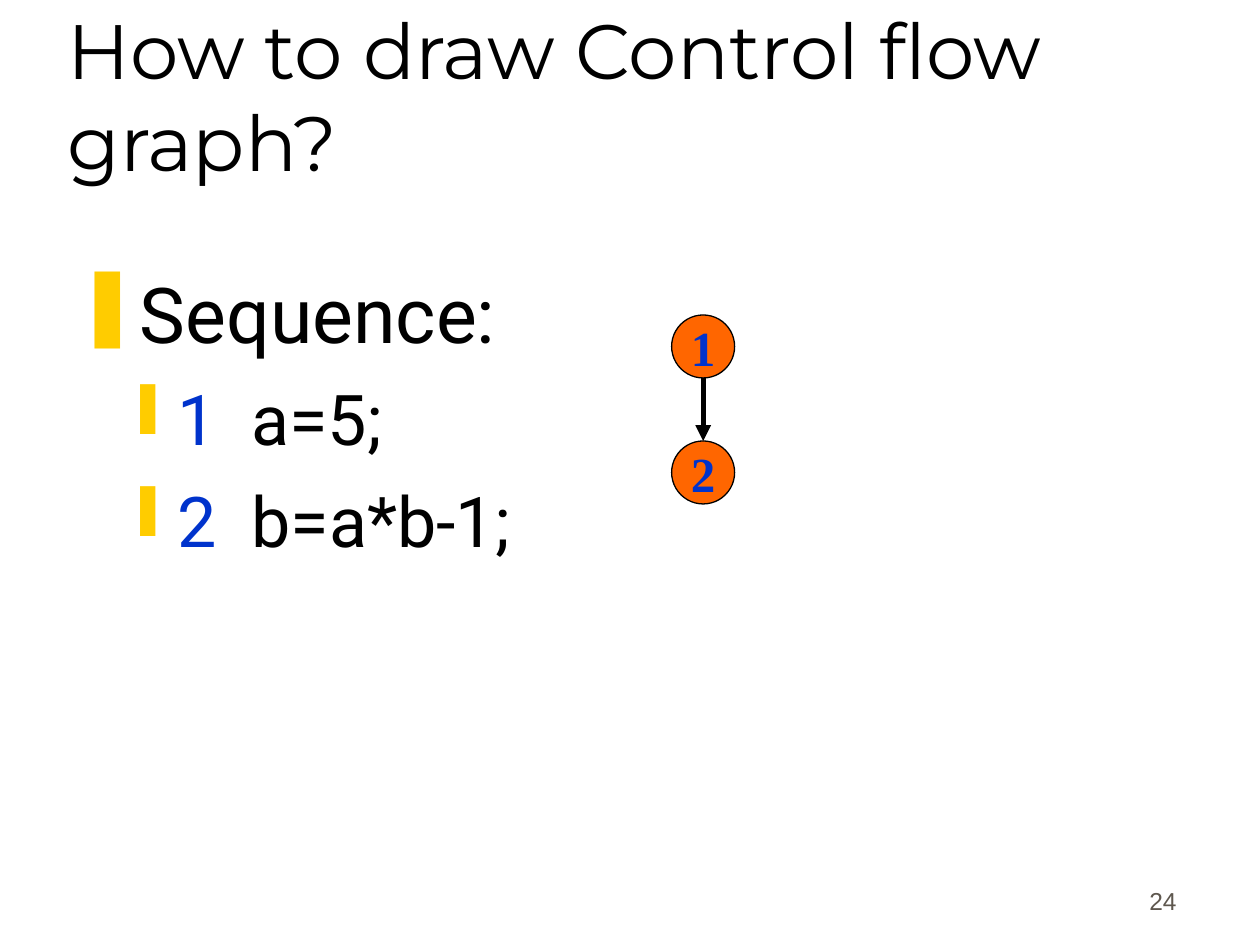
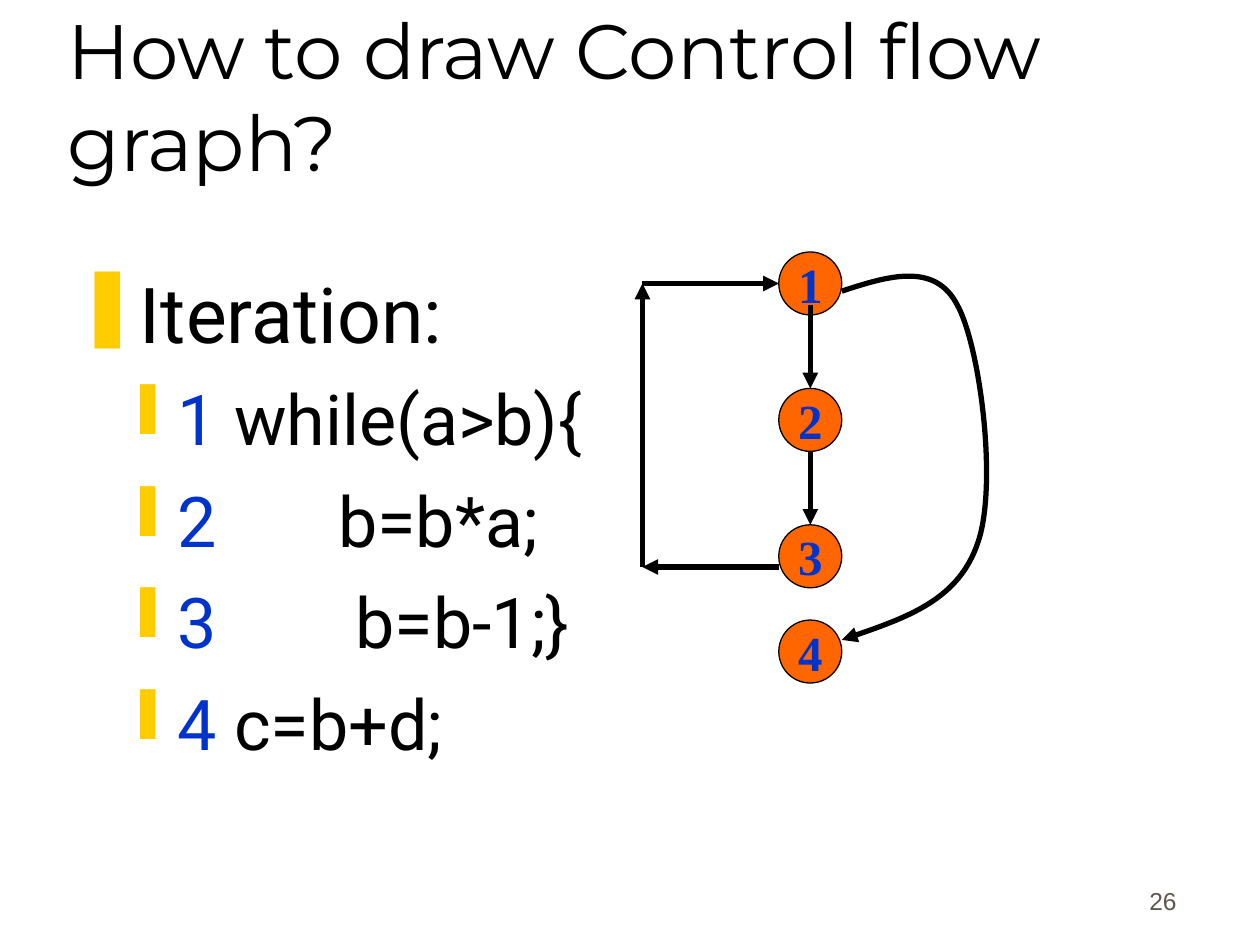
from lxml.etree import SubElement
from pptx import Presentation
from pptx.dml.color import RGBColor
from pptx.enum.shapes import MSO_CONNECTOR, MSO_SHAPE
from pptx.enum.text import MSO_ANCHOR, PP_ALIGN
from pptx.oxml.ns import qn
from pptx.util import Cm, Pt

BLACK = RGBColor(0x00, 0x00, 0x00)
BLUE = RGBColor(0x00, 0x33, 0xCC)
ORANGE = RGBColor(0xFF, 0x66, 0x00)
YELLOW = RGBColor(0xFF, 0xCC, 0x00)
GREY = RGBColor(0x5E, 0x57, 0x4E)

TITLE = "How to draw Control flow graph?"
TITLE_BOX = (1.11, 0.64, 21.59, 3.18)
CODE_BOX = (1.27, 5.24, 22.7, 11.58)
NUMBER_BOX = (18.69, 17.3, 5.28, 1.27)
NODE = 1.27  # node diameter in cm
STEP = 2.75  # node spacing in the loop graph, in cm


def add_run(p, text, font, size, color, bold=False):
    r = p.add_run()
    r.text = text
    r.font.name = font
    r.font.size = Pt(size)
    r.font.color.rgb = color
    r.font.bold = bold


def add_text_frame(s, box, anchor=MSO_ANCHOR.TOP):
    tf = s.shapes.add_textbox(*map(Cm, box)).text_frame
    tf.word_wrap = True
    tf.vertical_anchor = anchor
    return tf


def set_bullet(p, char, left, hanging):
    pPr = p._p.get_or_add_pPr()
    pPr.set("marL", str(Cm(left)))
    pPr.set("indent", str(-Cm(hanging)))
    color = SubElement(pPr, qn("a:buClr"))
    SubElement(color, qn("a:srgbClr"), val=str(YELLOW))
    SubElement(pPr, qn("a:buChar"), char=char)


# Title and slide number
def add_frame(s, number):
    tf = add_text_frame(s, TITLE_BOX, MSO_ANCHOR.BOTTOM)
    tf.margin_bottom = Cm(0.05)
    add_run(tf.paragraphs[0], TITLE, "Montserrat", 44, BLACK)

    p = add_text_frame(s, NUMBER_BOX, MSO_ANCHOR.BOTTOM).paragraphs[0]
    p.alignment = PP_ALIGN.RIGHT
    add_run(p, str(number), "Arial", 14, GREY)


# Heading with numbered code lines
def add_code(s, box, heading, lines):
    tf = add_text_frame(s, box)
    p = tf.paragraphs[0]
    set_bullet(p, "❚", 0.95, 0.95)
    add_run(p, heading, "Roboto", 44, BLACK)
    for number, code in enumerate(lines, 1):
        p = tf.add_paragraph()
        set_bullet(p, "❙", 2.06, 0.79)
        p.space_before = Pt(10)
        add_run(p, str(number), "Roboto", 40, BLUE)
        add_run(p, code, "Roboto", 40, BLACK)


# Parts of a flow graph
def add_node(s, x, y, number):
    sp = s.shapes.add_shape(MSO_SHAPE.OVAL, Cm(x), Cm(y), Cm(NODE), Cm(NODE))
    sp.shadow.inherit = False
    sp.fill.solid()
    sp.fill.fore_color.rgb = ORANGE
    sp.line.color.rgb = BLACK
    sp.line.width = Pt(0.75)
    tf = sp.text_frame
    tf.word_wrap = False
    tf.vertical_anchor = MSO_ANCHOR.MIDDLE
    p = tf.paragraphs[0]
    p.alignment = PP_ALIGN.CENTER
    add_run(p, str(number), "Times New Roman", 28, BLUE, bold=True)
    return sp


def style_arrow(sp):
    sp.line.color.rgb = BLACK
    sp.line.width = Pt(3)
    SubElement(sp.element.spPr.find(qn("a:ln")), qn("a:tailEnd"), type="triangle")


def add_arrow(s, start, end, target=None):
    c = s.shapes.add_connector(MSO_CONNECTOR.STRAIGHT, *map(Cm, start + end))
    if target is not None:
        c.end_connect(target, 0)
    style_arrow(c)
    SubElement(c.element.spPr, qn("a:effectLst"))


def add_curve(s, points):
    """Draw a Bezier curve: a start point, then three points per segment."""
    start, *rest = [(Cm(x), Cm(y)) for x, y in points]
    builder = s.shapes.build_freeform(*start)
    builder.add_line_segments(rest, close=False)
    sp = builder.convert_to_shape()
    outline = next(sp.element.iter(qn("a:path")))
    steps = outline.findall(qn("a:lnTo"))
    for i in range(0, len(steps), 3):
        bezier = SubElement(outline, qn("a:cubicBezTo"))
        for step in steps[i:i + 3]:
            bezier.append(step[0])
            outline.remove(step)
    sp.shadow.inherit = False
    sp.fill.background()
    style_arrow(sp)


# Two nodes in a row
def add_sequence_graph(s, left, top):
    middle = left + NODE / 2
    add_node(s, left, top, 1)
    second = add_node(s, left, top + 2 * NODE, 2)
    add_arrow(s, (middle, top + NODE), (middle, top + 2 * NODE), second)


# Loop over nodes 1 to 3 with an exit to node 4
def add_loop_graph(s, left, top):
    x = left + STEP
    middle = x + NODE / 2
    rows = [0, STEP, 2 * STEP, 7.42]
    nodes = [add_node(s, x, top + y, n) for n, y in enumerate(rows, 1)]

    add_arrow(s, (middle, top + 1.07), (middle, top + STEP), nodes[1])
    add_arrow(s, (middle, top + STEP + NODE), (middle, top + 2 * STEP), nodes[2])

    entry, back = top + NODE / 2, top + 5 * NODE
    corners = [(x, back), (left, back), (left, entry), (x, entry)]
    for start, end in zip(corners, corners[1:]):
        add_arrow(s, start, end)

    exit_curve = [(4.02, 0.79),
                  (4.96, 0.48), (5.9, 0.2), (6.35, 1.07),
                  (6.81, 1.9), (7.17, 4.72), (6.76, 5.87),
                  (6.38, 6.99), (5.21, 7.42), (4.02, 7.82)]
    add_curve(s, [(left + dx, top + dy) for dx, dy in exit_curve])


def add_slide(prs, number, heading, lines, add_graph, graph_at):
    s = prs.slides.add_slide(prs.slide_layouts[6])
    add_frame(s, number)
    add_code(s, CODE_BOX, heading, lines)
    add_graph(s, *graph_at)


def main():
    prs = Presentation()
    prs.slide_width, prs.slide_height = Cm(25.4), Cm(19.05)
    add_slide(prs, 24, "Sequence:", ["  a=5;", "  b=a*b-1;"],
              add_sequence_graph, (13.54, 6.35))
    add_slide(prs, 26, "Iteration:",
              [" while(a>b){", "       b=b*a;", "        b=b-1;}", " c=b+d;"],
              add_loop_graph, (12.95, 5.08))
    prs.save("out.pptx")


if __name__ == "__main__":
    main()
